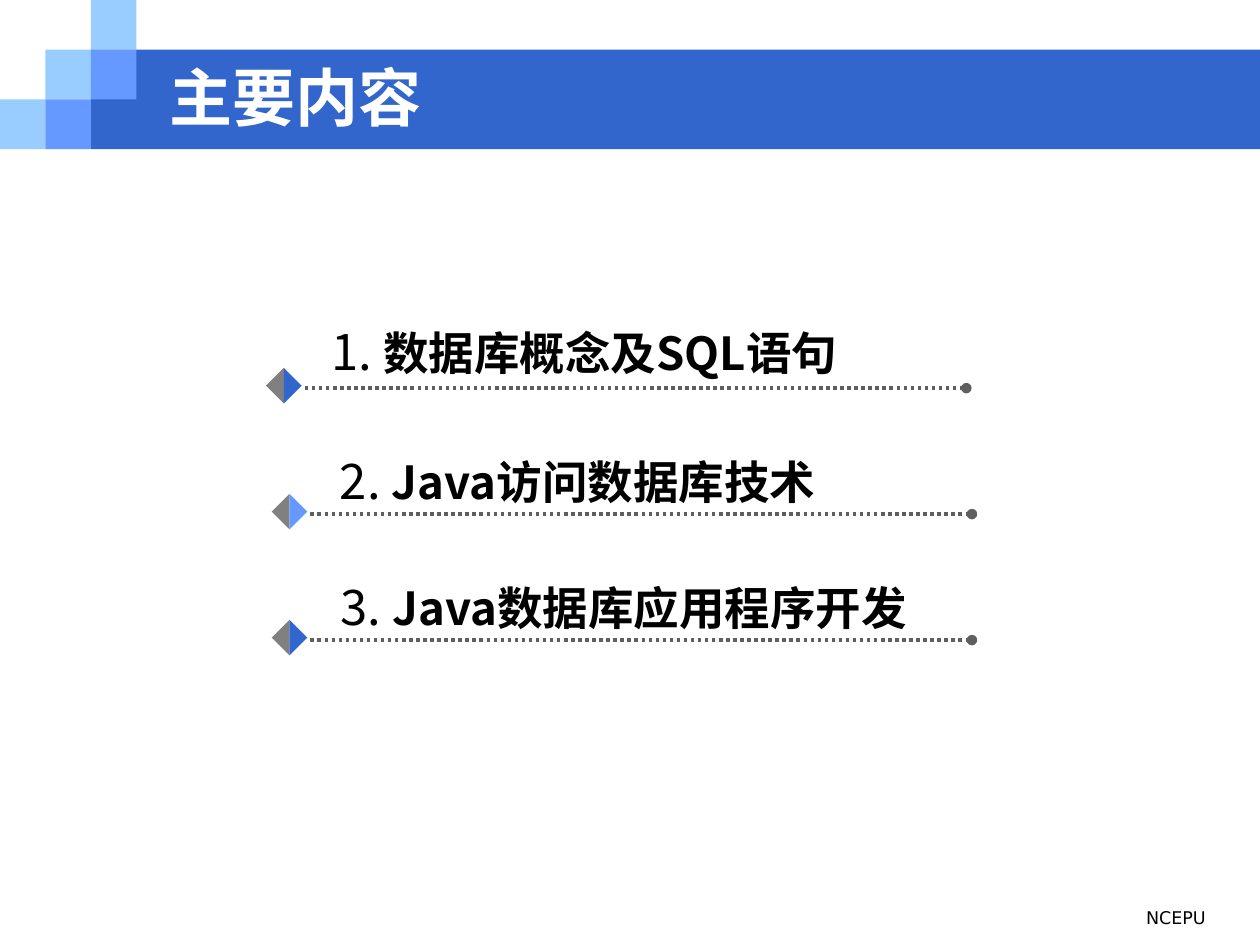
"""Build the contents slide with a stepped banner and three dotted rows."""
from lxml import etree
from pptx import Presentation
from pptx.dml.color import RGBColor
from pptx.enum import dml, shapes, text
from pptx.oxml.ns import qn
from pptx.util import Pt

FACE = "Noto Sans CJK SC"
KIND = shapes.MSO_SHAPE


def paint(fill, color):
    fill.solid()
    fill.fore_color.rgb = RGBColor.from_string(color)


def style(para, size, color, face):
    font = para.font
    font.size, font.name = Pt(size), face
    paint(font.fill, color)
    base = para._p.find(".//" + qn("a:defRPr"))
    etree.SubElement(base, qn("a:ea")).set("typeface", face)
    return font


deck = Presentation()
deck.slide_width, deck.slide_height = Pt(720), Pt(540)
slide = deck.slides.add_slide(deck.slide_layouts[6])
items = slide.shapes

# x, y, w, h, turn, kind, color
side, step = 26, 28.4
parts = [(2 * side, step, 720 - 2 * side, 2 * step, 0, KIND.RECTANGLE, "3366CC")]
for col, row, color in [(0, 2, "99CCFF"), (1, 1, "99CCFF"), (2, 0, "99CCFF"),
                        (2, 1, "6699FF"), (1, 2, "6699FF")]:
    parts.append((col * side, row * step, side, step, 0, KIND.RECTANGLE, color))

rows = [
    (174.2, 182.2, 180, "1. ", "数据库概念及SQL语句", 339, "3366CC"),
    (177.4, 187.2, 254, "2. ", "Java访问数据库技术", 316, "6699FF"),
    (177.4, 187.6, 326, "3. ", "Java数据库应用程序开发", 368, "3366CC"),
]
for i, (left, *_, color) in enumerate(rows):
    for turn, shade in [(45, "808080"), (225, color)]:
        parts.append((left - 19.2, 213.2 + 72 * i, 14.4, 14.4, turn,
                      KIND.RIGHT_TRIANGLE, shade))

for x, y, w, h, turn, kind, color in parts:
    part = items.add_shape(kind, Pt(x), Pt(y), Pt(w), Pt(h))
    part.rotation = turn
    part.shadow.inherit = False
    paint(part.fill, color)
    part.line.fill.background()

title = items.add_textbox(Pt(90), Pt(36), Pt(582), Pt(38)).text_frame
title.word_wrap = True
title.vertical_anchor = text.MSO_ANCHOR.MIDDLE
title.text = "主要内容"
style(title.paragraphs[0], 36, "FFFFFF", FACE).bold = True

for i, (left, x, y, num, name, wide, _) in enumerate(rows):
    level = Pt(221.8 + 72 * i)
    rule = items.add_connector(shapes.MSO_CONNECTOR.STRAIGHT,
                               Pt(left), level, Pt(left + 378), level)
    paint(rule.line.fill, "5F5F5F")
    rule.line.width = Pt(2)
    rule.line.dash_style = dml.MSO_LINE.ROUND_DOT
    etree.SubElement(rule.line._get_or_add_ln(), qn("a:tailEnd")).set("type", "oval")
    etree.SubElement(rule._element.spPr, qn("a:effectLst"))

    frame = items.add_textbox(Pt(x), Pt(y), Pt(wide), Pt(41)).text_frame
    frame.word_wrap = False
    frame.auto_size = text.MSO_AUTO_SIZE.SHAPE_TO_FIT_TEXT
    para = frame.paragraphs[0]
    style(para, 28, "000000", FACE)
    para.add_run().text = num
    label = para.add_run()
    label.text = name
    label.font.size, label.font.bold = Pt(26), True

foot = items.add_textbox(Pt(468), Pt(515), Pt(228), Pt(25)).text_frame
foot.word_wrap = True
foot.text = "NCEPU"
foot.paragraphs[0].alignment = text.PP_ALIGN.RIGHT
style(foot.paragraphs[0], 10, "000000", "DejaVu Sans")

deck.save("out.pptx")
